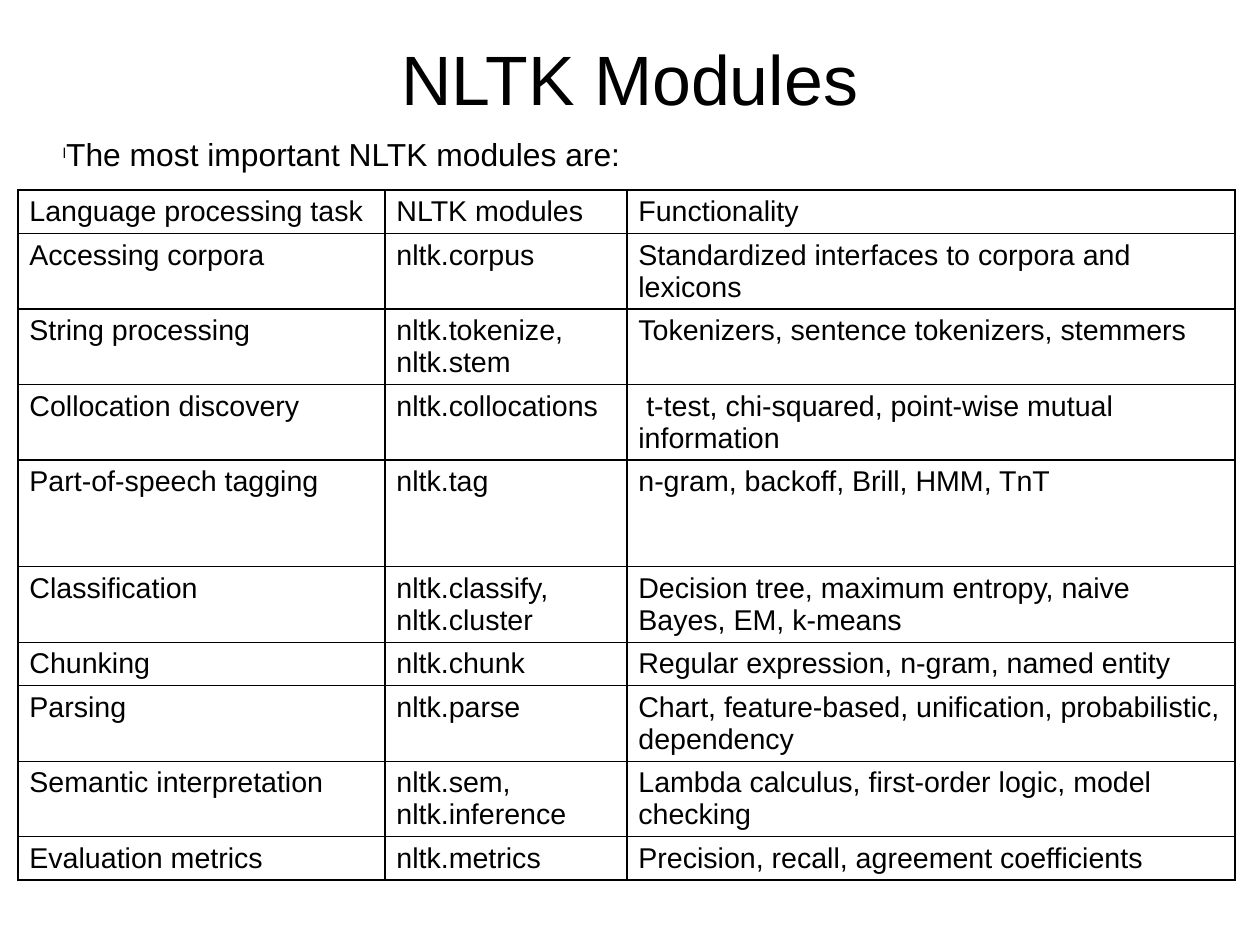
import dataclasses

import lxml.etree
import pptx
import pptx.dml.color
import pptx.enum.text
import pptx.oxml.ns
import pptx.util


@dataclasses.dataclass(frozen=True)
class Theme:
    font: str = "Arial"
    ink: str = "000000"
    paper: str = "FFFFFF"
    title_size: int = 44
    body_size: int = 20
    table_size: int = 18
    border_width: float = 1
    bullet_percent: int = 45


class SlideBuilder:
    EMU_PER_PIXEL = 914400 / 114.3

    def __init__(self, deck, theme):
        self.theme = theme
        self.slide = deck.slides.add_slide(deck.slide_layouts[1])
        self.slide.background.fill.solid()
        self.slide.background.fill.fore_color.rgb = self.color(theme.paper)

    @classmethod
    def emu(cls, pixels):
        return pptx.util.Emu(round(pixels * cls.EMU_PER_PIXEL))

    def color(self, code):
        return pptx.dml.color.RGBColor.from_string(code)

    def child(self, parent, tag, **attributes):
        return lxml.etree.SubElement(parent, pptx.oxml.ns.qn(tag), attributes)

    def format_text(self, frame, size):
        for para in frame.paragraphs:
            para.space_before = pptx.util.Pt(0)
            for span in para.runs:
                span.font.name = self.theme.font
                span.font.size = pptx.util.Pt(size)
                span.font.color.rgb = self.color(self.theme.ink)

    def fill_placeholder(self, box, bounds, text, size, anchor):
        box.left, box.top, box.width, box.height = map(self.emu, bounds)
        frame = box.text_frame
        frame.text = text
        frame.word_wrap = True
        frame.auto_size = pptx.enum.text.MSO_AUTO_SIZE.NONE
        frame.vertical_anchor = anchor
        frame.margin_left = frame.margin_right = 0
        frame.margin_top = frame.margin_bottom = 0
        self.format_text(frame, size)
        return frame

    def title(self, bounds, text):
        frame = self.fill_placeholder(
            self.slide.shapes.title, bounds, text, self.theme.title_size,
            pptx.enum.text.MSO_ANCHOR.MIDDLE)
        frame.paragraphs[0].alignment = pptx.enum.text.PP_ALIGN.CENTER

    def bullet_list(self, bounds, text):
        frame = self.fill_placeholder(
            self.slide.placeholders[1], bounds, text, self.theme.body_size,
            pptx.enum.text.MSO_ANCHOR.TOP)
        for para in frame.paragraphs:
            properties = para._p.get_or_add_pPr()
            properties.set("marL", "0")
            properties.set("indent", "0")
            self.child(properties, "a:buSzPct", val=str(self.theme.bullet_percent * 1000))
            self.child(properties, "a:buFont", typeface=self.theme.font)
            self.child(properties, "a:buChar", char="l")

    def border(self, cell):
        properties = cell._tc.get_or_add_tcPr()
        width = str(pptx.util.Pt(self.theme.border_width))
        for tag in ("a:lnL", "a:lnR", "a:lnT", "a:lnB"):
            line = self.child(properties, tag, w=width)
            fill = self.child(line, "a:solidFill")
            self.child(fill, "a:srgbClr", val=self.theme.ink)

    def table(self, left, top, widths, heights, rows):
        table = self.slide.shapes.add_table(
            len(rows), len(widths), self.emu(left), self.emu(top),
            self.emu(sum(widths)), self.emu(sum(heights))).table
        table.first_row = False
        table.horz_banding = False
        for column, width in zip(table.columns, widths):
            column.width = self.emu(width)
        for row, height, texts in zip(table.rows, heights, rows):
            row.height = self.emu(height)
            for cell, text in zip(row.cells, texts):
                cell.text_frame.text = text
                self.format_text(cell.text_frame, self.theme.table_size)
                self.border(cell)
                cell.fill.solid()
                cell.fill.fore_color.rgb = self.color(self.theme.paper)


MODULE_ROWS = [
    (1, "Language processing task", "NLTK modules", "Functionality"),
    (2, "Accessing corpora", "nltk.corpus",
     "Standardized interfaces to corpora and lexicons"),
    (2, "String processing", "nltk.tokenize, nltk.stem",
     "Tokenizers, sentence tokenizers, stemmers"),
    (2, "Collocation discovery", "nltk.collocations",
     " t-test, chi-squared, point-wise mutual information"),
    (3, "Part-of-speech tagging", "nltk.tag", "n-gram, backoff, Brill, HMM, TnT"),
    (2, "Classification", "nltk.classify, nltk.cluster",
     "Decision tree, maximum entropy, naive Bayes, EM, k-means"),
    (1, "Chunking", "nltk.chunk", "Regular expression, n-gram, named entity"),
    (2, "Parsing", "nltk.parse",
     "Chart, feature-based, unification, probabilistic, dependency"),
    (2, "Semantic interpretation", "nltk.sem, nltk.inference",
     "Lambda calculus, first-order logic, model checking"),
    (1, "Evaluation metrics", "nltk.metrics", "Precision, recall, agreement coefficients"),
]
LINE_HEIGHT = 32
ROW_PADDING = 11

deck = pptx.Presentation()
deck.slide_width = SlideBuilder.emu(1260)
deck.slide_height = SlideBuilder.emu(945)

page = SlideBuilder(deck, Theme())
page.title((63, 38, 1134, 79), "NLTK Modules")
page.bullet_list((63, 135, 1134, 737), "The most important NLTK modules are:")
page.table(
    18, 190, (367, 242, 608),
    [ROW_PADDING + LINE_HEIGHT * lines for lines, *_ in MODULE_ROWS],
    [texts for _, *texts in MODULE_ROWS])

deck.save("out.pptx")
